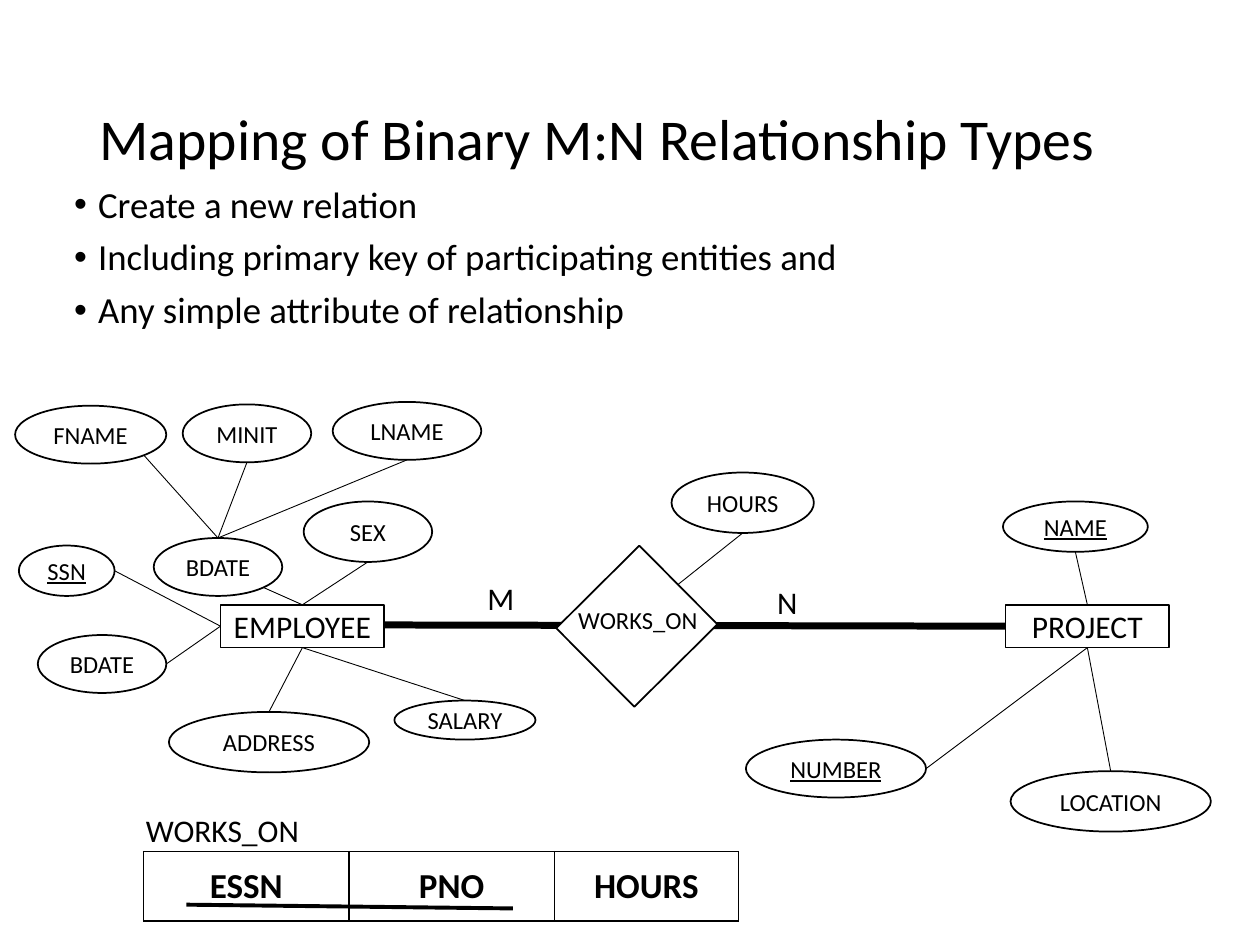
from lxml import etree
from pptx import Presentation, util as u
from pptx.dml.color import RGBColor
from pptx.enum import shapes, text
from pptx.oxml import ns

INK, PAPER = "000000", "FFFFFF"
SITES = {"top": (0.5, 0), "left": (0, 0.5), "bottom": (0.5, 1),
         "right": (1, 0.5), "corner": (0.85, 0.85)}
color = RGBColor.from_string

deck = Presentation()
deck.slide_width, deck.slide_height = u.Inches(10), u.Inches(7.5)
cell = deck.slide_width / 100
slide = deck.slides.add_slide(deck.slide_layouts[5])


def write(frame, words, size=14, bold=False, underline=False, align=text.PP_ALIGN.LEFT,
          anchor=text.MSO_ANCHOR.TOP, spacing=None, before=0, bullet=False):
    frame.word_wrap = True
    frame.vertical_anchor = anchor
    for i, line in enumerate(words.split("\n")):
        para = frame.add_paragraph() if i else frame.paragraphs[0]
        para.alignment, para.line_spacing = align, spacing
        para.space_before = u.Pt(before if i else 0)
        if bullet:
            props = para._p.get_or_add_pPr()
            props.set("marL", str(u.Inches(0.19)))
            props.set("indent", str(-u.Inches(0.19)))
            etree.SubElement(props, ns.qn("a:buFont")).set("typeface", "Arial")
            etree.SubElement(props, ns.qn("a:buChar")).set("char", "•")
        run = para.add_run()
        run.text = line
        run.font.name, run.font.size = "Calibri", u.Pt(size)
        run.font.bold, run.font.underline = bold, underline
        run.font.color.rgb = color(INK)


def join(start, end, width=0.5):
    link = slide.shapes.add_connector(
        shapes.MSO_CONNECTOR.STRAIGHT, *[round(v * cell) for v in (*start, *end)])
    link.line.color.rgb, link.line.width = color(INK), u.Pt(width)
    etree.SubElement(link._element.spPr, ns.qn("a:effectLst"))


title = slide.shapes.title
title.left, title.top, title.width, title.height = [
    round(v * cell) for v in (6.9, 4, 86.2, 14.5)]
write(title.text_frame, "Mapping of Binary M:N Relationship Types", size=33,
      anchor=text.MSO_ANCHOR.MIDDLE, spacing=0.9)
title.text_frame.auto_size = text.MSO_AUTO_SIZE.NONE

steps = slide.shapes.add_textbox(*[round(v * cell) for v in (4.9, 14.3, 86.2, 14.8)])
write(steps.text_frame, "Create a new relation\n"
      "Including primary key of participating entities and\n"
      "Any simple attribute of relationship",
      size=21, spacing=0.9, before=7.5, bullet=True)

employee, project = (17.5, 48, 13, 3.4), (79.8, 48, 13, 3.4)
works_on, composite = (45.9, 45.3, 9.3, 8.8), (12.2, 42.7, 10.2, 4.6)
join((30.5, 49.6), (79.8, 49.7), width=4)

RECT, OVAL = shapes.MSO_SHAPE.RECTANGLE, shapes.MSO_SHAPE.OVAL
nodes = [
    ("EMPLOYEE", RECT, employee, 18, False),
    ("PROJECT", RECT, project, 18, False),
    ("", RECT, works_on, 14, False),
]
attributes = [
    ("SSN", (1.5, 43.3, 7.6, 4), "right", employee, "left"),
    ("BDATE", (3, 50.4, 10.2, 4.6), "right", employee, "left"),
    ("BDATE", composite, "corner", employee, "top"),
    ("LNAME", (26.4, 31.9, 11.8, 4.6), "bottom", composite, "top"),
    ("MINIT", (14.5, 32.1, 10.2, 4.6), "bottom", composite, "top"),
    ("FNAME", (1.2, 32.2, 12, 4.6), "corner", composite, "top"),
    ("SEX", (24.1, 39.8, 10.2, 4.8), "bottom", employee, "top"),
    ("ADDRESS", (13.4, 56.5, 15.9, 4.8), "top", employee, "bottom"),
    ("SALARY", (31.3, 55.6, 11.2, 3.1), "top", employee, "bottom"),
    ("NAME", (79.6, 39.8, 11.5, 4), "bottom", project, "top"),
    ("NUMBER", (59.2, 58.7, 14.3, 4.6), "right", project, "bottom"),
    ("LOCATION", (80.2, 61.2, 15.9, 4.8), "top", project, "bottom"),
    ("HOURS", (53.3, 37.5, 11.3, 4.8), "bottom", (53.8, 46.4, 0, 0), "top"),
]
for name, box, site, owner, owner_site in attributes:
    nodes.append((name, OVAL, box, 14, name in ("SSN", "NAME", "NUMBER")))
    join(*[(x + w * SITES[s][0], y + h * SITES[s][1])
           for (x, y, w, h), s in ((box, site), (owner, owner_site))])

for name, kind, box, size, is_key in nodes:
    node = slide.shapes.add_shape(kind, *[round(v * cell) for v in box])
    node.shadow.inherit = False
    node.line.color.rgb, node.line.width = color(INK), u.Pt(1)
    if name:
        node.fill.background()
        frame = node.text_frame
        frame.margin_left = frame.margin_right = frame.margin_top = frame.margin_bottom = 0
        write(frame, name, size=size, underline=is_key,
              align=text.PP_ALIGN.CENTER, anchor=text.MSO_ANCHOR.MIDDLE)
    else:
        node.fill.solid()
        node.fill.fore_color.rgb = color(PAPER)
        node.rotation = 315.2

for words, box, size in [
    ("WORKS_ON", (44.9, 47.5, 11.9, 3.4), 14),
    ("M", (37.7, 45.5, 6.4, 4), 18),
    ("N", (60.7, 45.8, 7.1, 4), 18),
    ("WORKS_ON", (10.6, 63.9, 19.3, 4), 18),
]:
    label = slide.shapes.add_textbox(*[round(v * cell) for v in box])
    write(label.text_frame, words, size=size)

relation = slide.shapes.add_table(
    1, 3, *[round(v * cell) for v in (11.4, 67.6, 47.2, 5.5)]).table
relation.first_row = relation.horz_banding = False
for i, (field, width) in enumerate([("ESSN", 16.3), ("PNO", 16.3), ("HOURS", 14.6)]):
    relation.columns[i].width = round(width * cell)
    column = relation.cell(0, i)
    write(column.text_frame, field, size=20, bold=True, align=text.PP_ALIGN.CENTER)
    column.vertical_anchor = text.MSO_ANCHOR.MIDDLE
    props = column._tc.get_or_add_tcPr()
    for side in ("lnL", "lnR", "lnT", "lnB"):
        border = etree.SubElement(props, ns.qn("a:" + side), w=str(u.Pt(1)))
        paint = etree.SubElement(border, ns.qn("a:solidFill"))
        etree.SubElement(paint, ns.qn("a:srgbClr"), val=INK)
    column.fill.background()
join((14.8, 71.8), (40.7, 72.1), width=2.25)

deck.save("out.pptx")
